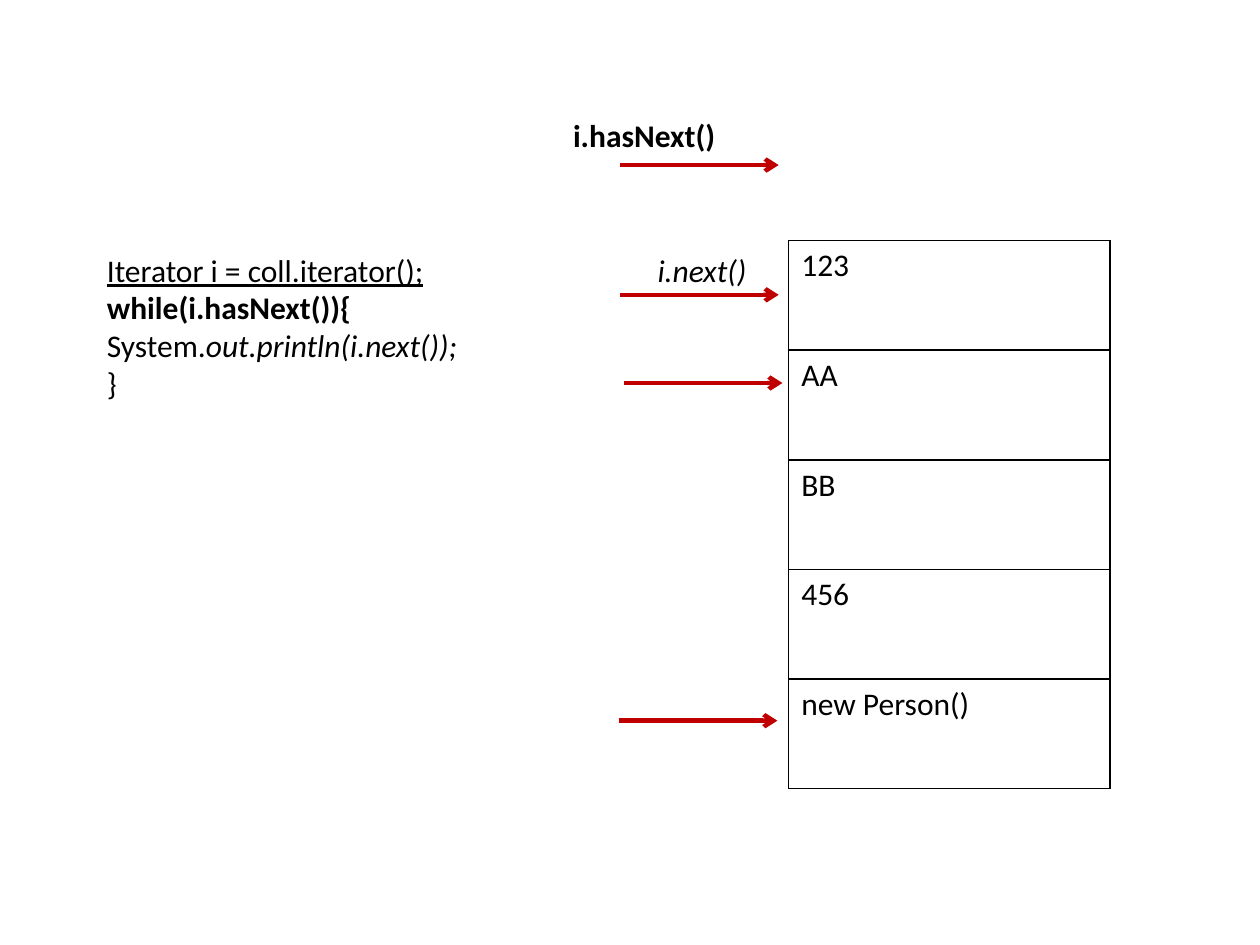
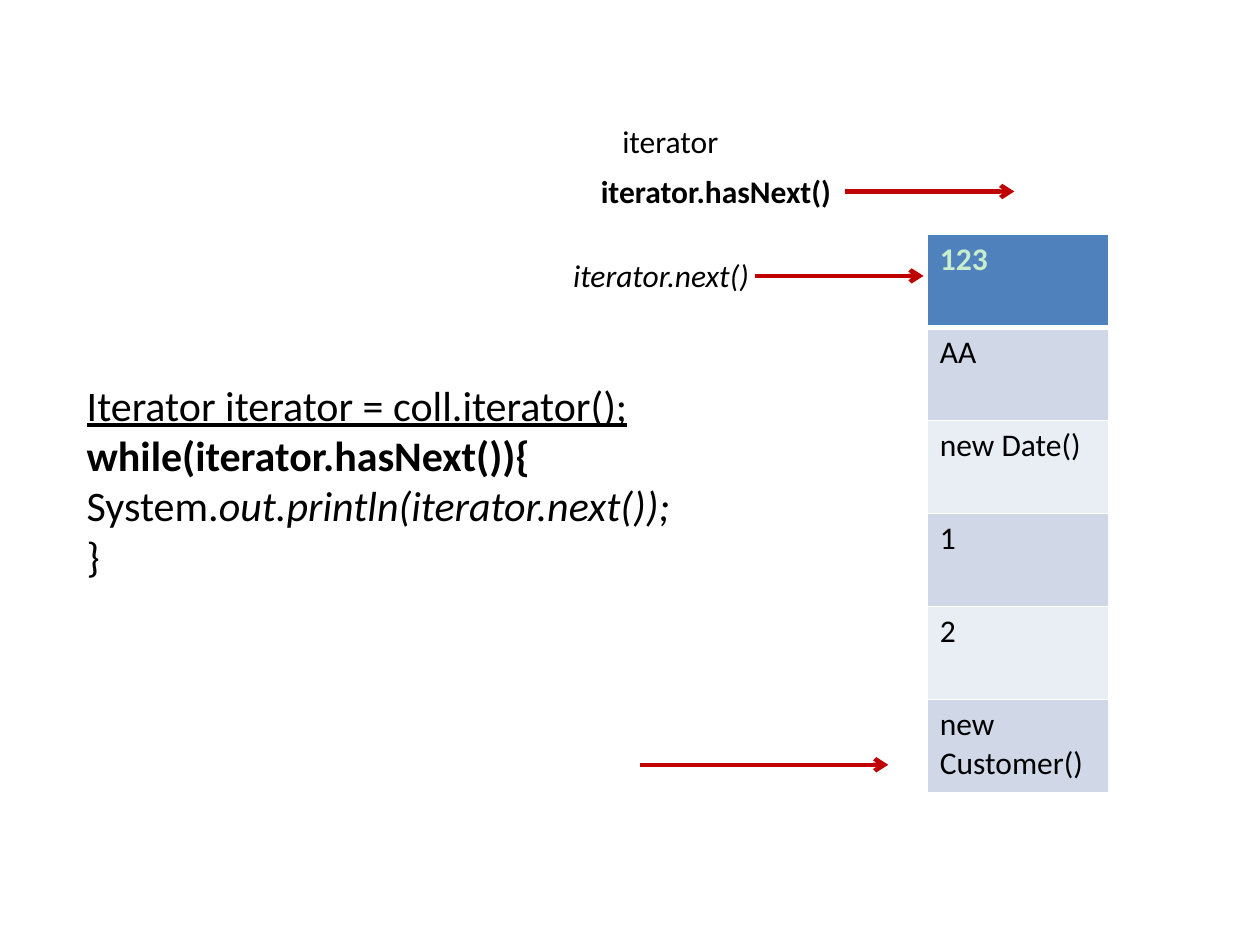
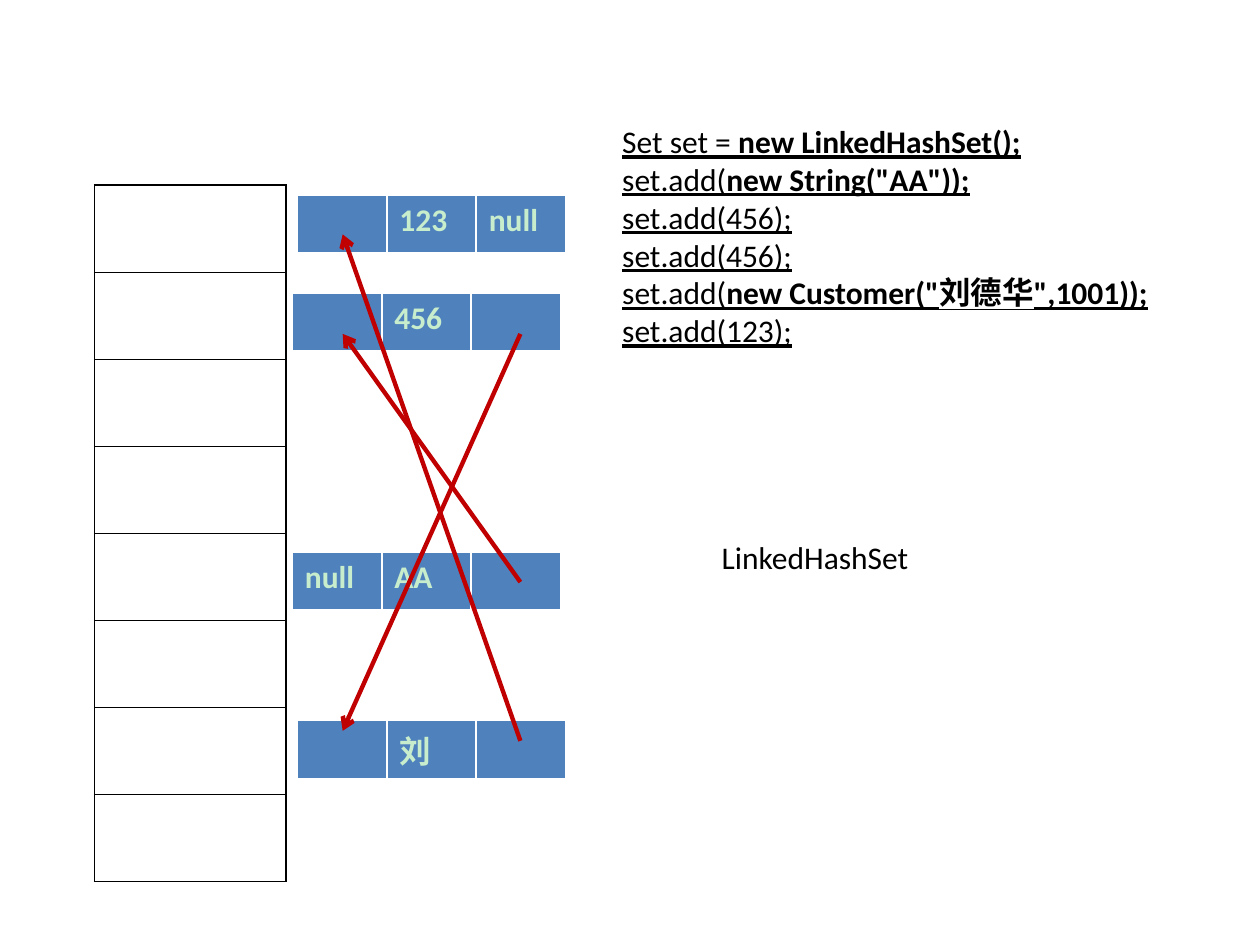
"""Builds three slides on iterators and the LinkedHashSet."""
from lxml import etree
from pptx import Presentation
from pptx.dml.color import RGBColor
from pptx.enum.shapes import MSO_CONNECTOR
from pptx.enum.text import MSO_AUTO_SIZE
from pptx.oxml.ns import qn
from pptx.util import Inches, Pt

STRAIGHT = MSO_CONNECTOR.STRAIGHT
FIT_SHAPE = MSO_AUTO_SIZE.SHAPE_TO_FIT_TEXT
FONT = "Calibri"
BODY_SIZE = 18
COLORS = {"text": "000000", "arrow": "C00000", "paper": "FFFFFF", "header": "4F81BD",
          "header_text": "C7EDCC", "band_dark": "D0D8E8", "band_light": "E9EDF4"}


def loop_code(name):
    return [[(f"Iterator {name} = coll.iterator();", "u")],
            [(f"while({name}.hasNext()){{", "b")],
            [("System.", ""), (f"out.println({name}.next());", "i")],
            [("}", "")]]


SET_CODE = [[("Set set = ", "u"), ("new LinkedHashSet();", "ub")],
            [("set.add(", "u"), ('new String("AA"));', "ub")],
            [("set.add(456);", "u")],
            [("set.add(456);", "u")],
            [("set.add(", "u"), ('new Customer("刘德华",1001));', "ub")],
            [("set.add(123);", "u")]]

NODE_SIZE = (2.13, 0.47)
NODES = [(2.36, 1.55, ["", "123", "null"]), (2.32, 2.33, ["", "456", ""]),
         (2.32, 4.38, ["null", "AA", ""]), (2.36, 5.72, ["", "刘", ""])]
LINK_FROM, LINK_TO = 4.13, 2.72
LINKS = [(4.62, 2.65), (2.65, 5.8), (5.88, 1.86)]

SLIDES = [
    {"texts": [((0.75, 1.94, 3.15, 1.31), loop_code("i"), BODY_SIZE, True),
               ((4.45, 0.87, 1.34, 0.4), [[("i.hasNext()", "b")]], BODY_SIZE, False),
               ((5.12, 1.94, 0.92, 0.4), [[("i.next()", "i")]], BODY_SIZE, False)],
     "tables": [((6.26, 1.91, 2.55, 4.35), "plain",
                 [["123"], ["AA"], ["BB"], ["456"], ["new Person()"]])],
     "arrows": [(left, y, left + 1.26, y)
                for left, y in [(4.92, 1.31), (4.92, 2.34), (4.95, 3.04), (4.91, 5.72)]]},
    {"texts": [((0.59, 2.96, 4.96, 1.72), loop_code("iterator"), 24, True),
               ((4.84, 0.92, 1.69, 0.4), [[("iterator", "")]], BODY_SIZE, True),
               ((4.67, 1.32, 2.04, 0.4), [[("iterator.hasNext()", "b")]], BODY_SIZE, False),
               ((4.45, 1.98, 1.61, 0.4), [[("iterator.next()", "i")]], BODY_SIZE, False)],
     "tables": [((7.36, 1.86, 1.44, 4.43), "banded",
                 [["123"], ["AA"], ["new Date()"], ["1"], ["2"], ["new Customer()"]])],
     "arrows": [(5.99, 2.19, 7.33, 2.19), (5.08, 6.07, 7.05, 6.07), (6.71, 1.52, 8.05, 1.52)]},
    {"texts": [((4.84, 0.92, 5, 1.92), SET_CODE, BODY_SIZE, True),
               ((5.63, 4.22, 3.7, 0.4), [[("LinkedHashSet", "")]], BODY_SIZE, True)],
     "tables": [((0.75, 1.47, 1.52, 5.53), "plain", [[""]] * 8)]
     + [((left, top, *NODE_SIZE), "banded", [values]) for left, top, values in NODES],
     "arrows": [(LINK_FROM, start, LINK_TO, end) for start, end in LINKS]},
]


def rgb(name):
    return RGBColor.from_string(COLORS[name])


def set_font(font, size, color):
    font.name, font.size = FONT, Pt(size)
    font.color.rgb = rgb(color)


def add_text(page, area, lines, size, wrap):
    box = page.shapes.add_textbox(*map(Inches, area))
    frame = box.text_frame
    frame.word_wrap, frame.auto_size = wrap, FIT_SHAPE
    for number, line in enumerate(lines):
        para = frame.add_paragraph() if number else frame.paragraphs[0]
        set_font(para.font, size, "text")
        for text, style in line:
            span = para.add_run()
            span.text = text
            set_font(span.font, size, "text")
            span.font.underline = "u" in style
            span.font.bold = "b" in style
            span.font.italic = "i" in style


def add_border(cell, side, color, width):
    edge = etree.SubElement(cell._tc.get_or_add_tcPr(), qn(f"a:ln{side}"), w=str(Pt(width)))
    fill = etree.SubElement(edge, qn("a:solidFill"))
    etree.SubElement(fill, qn("a:srgbClr"), val=COLORS[color])


def style_cell(cell, row, kind):
    banded = kind == "banded"
    header = banded and row == 0
    for side in "LRTB":
        thick = banded and (row, side) in [(0, "B"), (1, "T")]
        add_border(cell, side, "paper" if banded else "text", 3 if thick else 1)
    if banded:
        cell.fill.solid()
        band = "band_dark" if row % 2 else "band_light"
        cell.fill.fore_color.rgb = rgb("header" if header else band)
    else:
        cell.fill.background()
    para = cell.text_frame.paragraphs[0]
    for font in [para.font] + [span.font for span in para.runs]:
        set_font(font, BODY_SIZE, "header_text" if header else "text")
        font.bold = header


def add_grid(page, area, kind, rows):
    left, top, width, height = map(Inches, area)
    table = page.shapes.add_table(len(rows), len(rows[0]), left, top, width, height).table
    table.first_row = table.horz_banding = False
    for row, values in enumerate(rows):
        for column, value in enumerate(values):
            cell = table.cell(row, column)
            cell.text = value
            style_cell(cell, row, kind)


def add_arrow(page, ends):
    arrow = page.shapes.add_connector(STRAIGHT, *map(Inches, ends))
    arrow.line.color.rgb = rgb("arrow")
    arrow.line.width = Pt(2.5)
    properties = arrow._element.spPr
    etree.SubElement(properties.find(qn("a:ln")), qn("a:tailEnd"), type="arrow")
    etree.SubElement(properties, qn("a:effectLst"))


def main():
    deck = Presentation()
    deck.slide_width, deck.slide_height = Inches(10), Inches(7.5)
    for content in SLIDES:
        page = deck.slides.add_slide(deck.slide_layouts[6])
        page.background.fill.solid()
        page.background.fill.fore_color.rgb = rgb("paper")
        for text in content["texts"]:
            add_text(page, *text)
        for grid in content["tables"]:
            add_grid(page, *grid)
        for ends in content["arrows"]:
            add_arrow(page, ends)
    deck.save("out.pptx")


if __name__ == "__main__":
    main()
